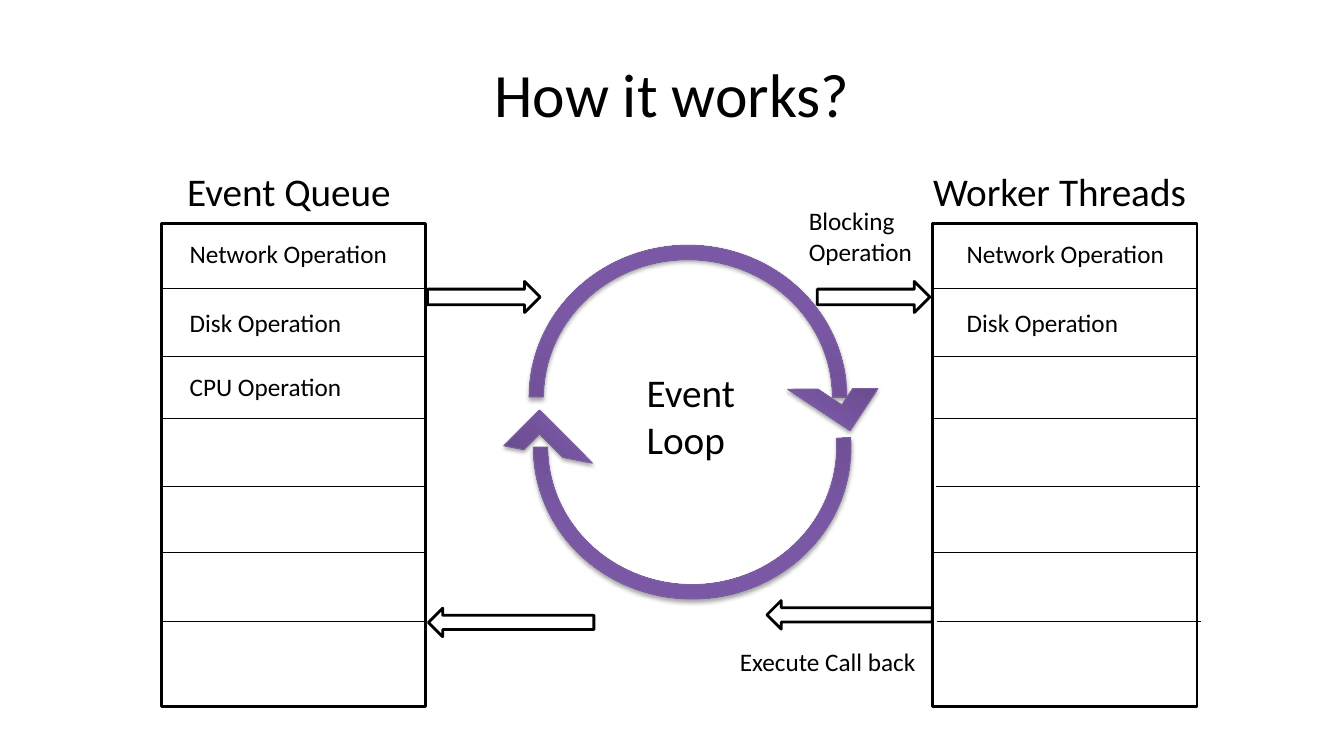
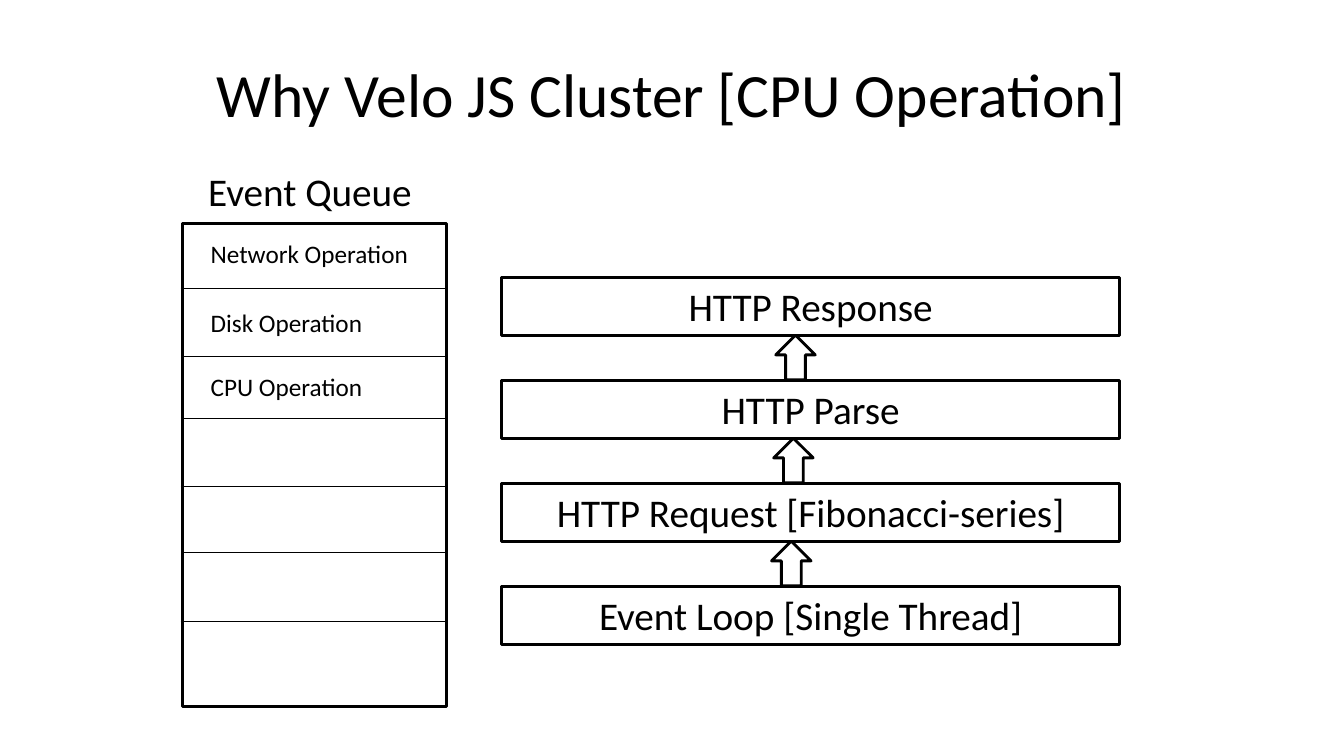
from collections import namedtuple

from lxml import etree
from pptx import Presentation
from pptx.dml.color import RGBColor
from pptx.enum.shapes import MSO_CONNECTOR, MSO_SHAPE
from pptx.enum.text import MSO_ANCHOR, MSO_AUTO_SIZE, PP_ALIGN
from pptx.oxml import parse_xml
from pptx.oxml.ns import nsdecls, qn
from pptx.util import Emu, Inches, Pt

RECTANGLE = MSO_SHAPE.RECTANGLE
RIGHT_ARROW, LEFT_ARROW, UP_ARROW = MSO_SHAPE.RIGHT_ARROW, MSO_SHAPE.LEFT_ARROW, MSO_SHAPE.UP_ARROW
ARC, ARROWHEAD = MSO_SHAPE.BLOCK_ARC, MSO_SHAPE.HALF_FRAME
STRAIGHT = MSO_CONNECTOR.STRAIGHT
LEFT, CENTER = PP_ALIGN.LEFT, PP_ALIGN.CENTER
MIDDLE = MSO_ANCHOR.MIDDLE
FIT_SHAPE, FIXED_SIZE = MSO_AUTO_SIZE.SHAPE_TO_FIT_TEXT, MSO_AUTO_SIZE.NONE

COLORS = {
    "ink": "000000",
    "paper": "FFFFFF",
    "purple_dark": "5F4480",
    "purple": "7B58A6",
    "purple_light": "7C57A8",
    "purple_edge": "7D60A0",
}
FONT = "Calibri"
TITLE_SIZE, HEADING_SIZE, LABEL_SIZE = 44, 28, 18

SLIDE_WIDTH, SLIDE_HEIGHT = Inches(13.33), Inches(7.5)
GRID_COLUMNS, GRID_ROWS = 160, 90
COLUMN, ROW = SLIDE_WIDTH / GRID_COLUMNS, SLIDE_HEIGHT / GRID_ROWS

OPERATION_WIDTHS = {"Network Operation": 26.2, "Disk Operation": 20.6, "CPU Operation": 20.6}
OPERATIONS = list(OPERATION_WIDTHS)
ENTRY_ROWS = [1.2, 9.4, 17]
DIVIDER_ROWS = [7.7, 15.8, 23.2, 31.3, 39.2, 47.4]
QUEUE_SHIFTS = [-0.2, 0.1, 0, -0.2, 0.1, -0.2]
WORKER_SHIFTS = [-0.1, 0.1, 0, 0.4, 0.1, 0.5]


class Box(namedtuple("Box", "left top width height")):
    """A rectangle measured in grid columns and rows."""

    def inside(self, left, top, width, height):
        """Return a box placed relative to this one."""
        return Box(self.left + left, self.top + top, width, height)

    def lengths(self):
        """Return left, top, width and height as slide lengths."""
        units = (COLUMN, ROW, COLUMN, ROW)
        return [Emu(round(value * unit)) for value, unit in zip(self, units)]


TITLE_BOX = Box(8, 3.6, 144, 15)


def color(name):
    """Return a named colour."""
    return RGBColor.from_string(COLORS[name])


def write_text(frame, text, size=LABEL_SIZE, align=LEFT, wrap=False, anchor=None, fit=FIT_SHAPE):
    """Fill a text frame, one paragraph for each line."""
    frame.text = text
    frame.word_wrap = wrap
    frame.auto_size = fit
    if anchor is not None:
        frame.vertical_anchor = anchor
    for paragraph in frame.paragraphs:
        paragraph.alignment = align
        font = paragraph.font
        font.name, font.size = FONT, Pt(size)
        font.color.rgb = color("ink")


def add_label(shapes, box, text, **text_format):
    """Add a text box."""
    write_text(shapes.add_textbox(*box.lengths()).text_frame, text, **text_format)


def add_outlined(shapes, kind, box):
    """Add a white preset shape with a black outline."""
    shape = shapes.add_shape(kind, *box.lengths())
    shape.shadow.inherit = False
    shape.fill.solid()
    shape.fill.fore_color.rgb = color("paper")
    shape.line.color.rgb = color("ink")
    shape.line.width = Pt(2)
    return shape


def add_divider(shapes, box):
    """Add a thin horizontal line along the top of a box."""
    left, top, width, _ = box.lengths()
    line = shapes.add_connector(STRAIGHT, left, top, left + width, top)
    line.line.color.rgb = color("ink")
    line.line.width = Pt(0.75)
    etree.SubElement(line._element.spPr, qn("a:effectLst"))


def add_purple(shapes, kind, box, rotation=0, adjustments=()):
    """Add a shaded purple shape with a soft shadow."""
    shape = shapes.add_shape(kind, *box.lengths())
    shape.rotation = rotation
    for index, value in enumerate(adjustments):
        shape.adjustments[index] = value
    stops = "".join(
        f'<a:gs pos="{share * 1000}"><a:srgbClr val="{COLORS[name]}"/></a:gs>'
        for share, name in [(0, "purple_dark"), (80, "purple"), (100, "purple_light")]
    )
    properties = shape._element.spPr
    properties.find(qn("a:prstGeom")).addnext(parse_xml(
        f'<a:gradFill {nsdecls("a")} rotWithShape="1"><a:gsLst>{stops}</a:gsLst>'
        '<a:lin ang="16200000" scaled="0"/></a:gradFill>'
    ))
    shape.line.color.rgb = color("purple_edge")
    shape.line.width = Pt(0.75)
    shape.shadow.inherit = False
    properties.find(qn("a:effectLst")).append(parse_xml(
        f'<a:outerShdw {nsdecls("a")} blurRad="{Pt(3.1)}" dist="{Pt(1.8)}" dir="5400000" '
        f'rotWithShape="0"><a:srgbClr val="{COLORS["ink"]}"><a:alpha val="35000"/>'
        '</a:srgbClr></a:outerShdw>'
    ))


def add_titled_slide(presentation, title):
    """Add a title-only slide with the shared title style."""
    slide = presentation.slides.add_slide(presentation.slide_layouts[5])
    shape = slide.shapes.title
    shape.left, shape.top, shape.width, shape.height = TITLE_BOX.lengths()
    write_text(shape.text_frame, title, size=TITLE_SIZE, align=CENTER, wrap=True,
               anchor=MIDDLE, fit=FIXED_SIZE)
    return slide


def add_queue(slide, box, heading, heading_width, entries, indent, shifts):
    """Draw a headed column of slots with its first slots filled."""
    shapes = slide.shapes.add_group_shape().shapes
    add_outlined(shapes, RECTANGLE, box)
    for row, shift in zip(DIVIDER_ROWS, shifts):
        add_divider(shapes, box.inside(shift, row, box.width, 0))
    heading_left = (box.width - heading_width) / 2 - 0.4
    add_label(shapes, box.inside(heading_left, -7.3, heading_width, 6.9), heading,
              size=HEADING_SIZE)
    for row, entry in zip(ENTRY_ROWS, entries):
        add_label(shapes, box.inside(indent, row, OPERATION_WIDTHS[entry], 4.8), entry)


def add_event_queue(slide, box):
    """Draw the event queue with all operations waiting."""
    add_queue(slide, box, "Event Queue", 26.9, OPERATIONS, 2.2, QUEUE_SHIFTS)


def add_loop(slide, box):
    """Draw the circular event loop with its caption."""
    shapes = slide.shapes.add_group_shape().shapes
    add_purple(shapes, ARC, box.inside(2.7, 6, 37.8, 36.1), 180, (105.87, 0.027, 0.047))
    add_purple(shapes, ARC, box.inside(2.2, 0, 37.8, 36.1), 0, (108, 0.027, 0.047))
    add_purple(shapes, ARROWHEAD, box.inside(0, 21.9, 8.9, 6), 45.1)
    add_purple(shapes, ARROWHEAD, box.inside(33.9, 14.1, 8.9, 6), 213.5, (0.333, 0.415))
    add_label(shapes, box.inside(15, 14, 13.1, 12.5), "Event\nLoop", size=HEADING_SIZE)


def add_exchange(slide, box):
    """Draw the arrows and labels between the queue, the loop and the workers."""
    for left in (0, 46.4):
        add_outlined(slide.shapes, RIGHT_ARROW, box.inside(left, 9.6, 13.4, 3.7))
    for left, top in [(40.4, 47.6), (0.1, 48.5)]:
        add_outlined(slide.shapes, LEFT_ARROW, box.inside(left, top, 19.7, 3.4))
    add_label(slide.shapes, box.inside(44.2, 0, 14.9, 8.5), "Blocking\nOperation")
    add_label(slide.shapes, box.inside(36, 52.4, 23.5, 4.8), "Execute Call back")


def add_stack(slide, box, steps):
    """Draw steps from top to bottom, joined by upward arrows."""
    shapes = slide.shapes.add_group_shape().shapes
    step_height, arrow_width, arrow_height = 6.9, 4.7, 5.3
    pitch = (box.height - step_height) / (len(steps) - 1)
    for index, step in enumerate(steps):
        step_box = box.inside(0, index * pitch, box.width, step_height)
        shape = add_outlined(shapes, RECTANGLE, step_box)
        write_text(shape.text_frame, step, size=HEADING_SIZE, align=CENTER, wrap=True)
        if index < len(steps) - 1:
            arrow_left = (box.width - arrow_width) / 2 - 1.8 - index / 4
            add_outlined(shapes, UP_ARROW,
                         step_box.inside(arrow_left, step_height, arrow_width, arrow_height))


def build_workings(presentation):
    """Build the slide on how the event loop works."""
    slide = add_titled_slide(presentation, "How it works?")
    add_event_queue(slide, Box(19.2, 26.6, 31.5, 57.5))
    add_queue(slide, Box(111, 26.6, 31.5, 57.5), "Worker Threads", 32.9,
              OPERATIONS[:2], 2.9, WORKER_SHIFTS)
    add_loop(slide, Box(60.8, 29.2, 42.8, 42.1))
    add_exchange(slide, Box(50.9, 23.9, 60.1, 57.2))


def build_cluster_reason(presentation):
    """Build the slide on why a cluster is needed."""
    slide = add_titled_slide(presentation, "Why Velo JS Cluster [CPU Operation]")
    add_stack(slide, Box(59.7, 33, 73.6, 43.7), [
        "HTTP Response",
        "HTTP Parse",
        "HTTP Request [Fibonacci-series]",
        "Event Loop [Single Thread]",
    ])
    add_event_queue(slide, Box(21.7, 26.6, 31.5, 57.5))


def main():
    """Build and save the presentation."""
    presentation = Presentation()
    presentation.slide_width, presentation.slide_height = SLIDE_WIDTH, SLIDE_HEIGHT
    build_workings(presentation)
    build_cluster_reason(presentation)
    presentation.save("out.pptx")


main()
